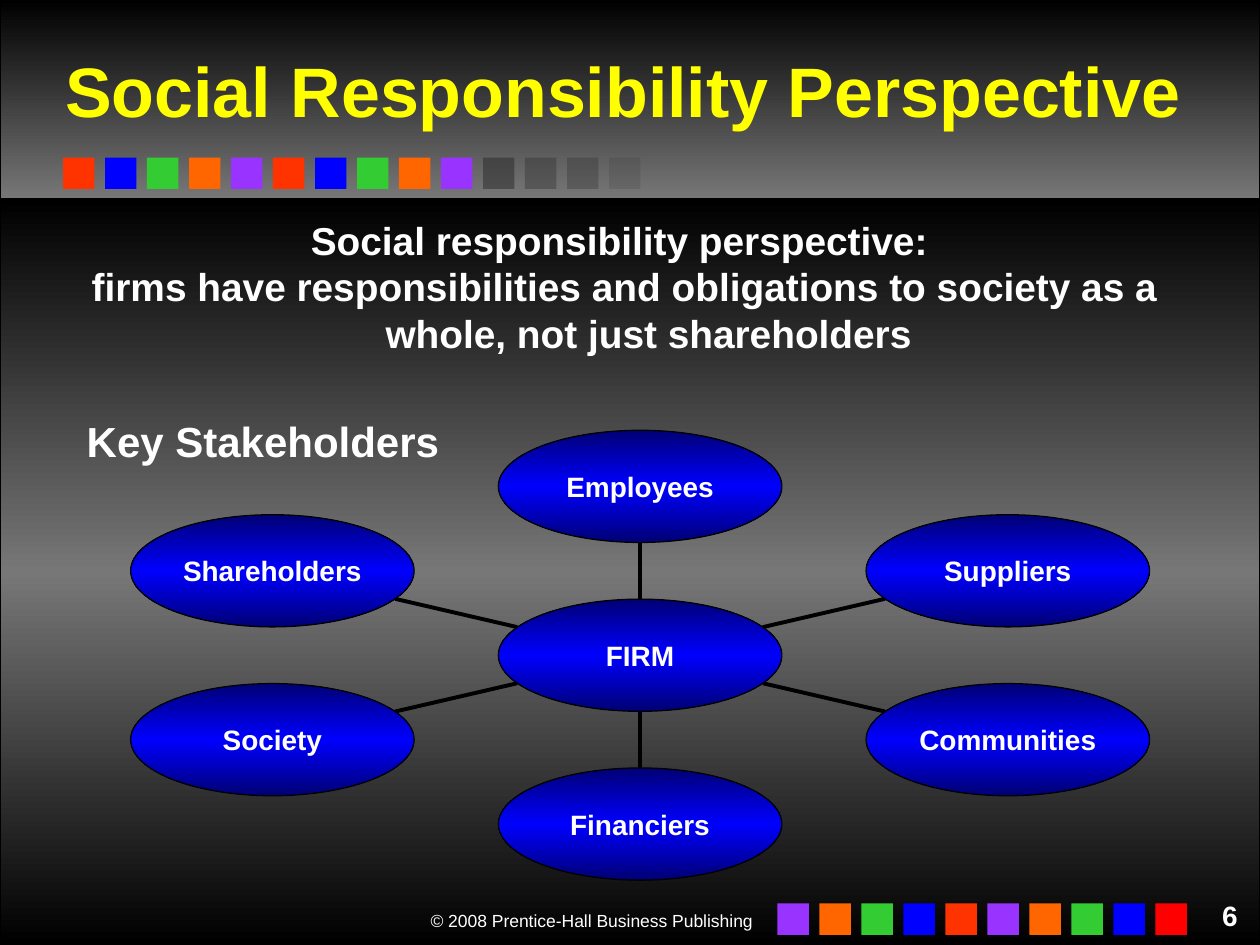
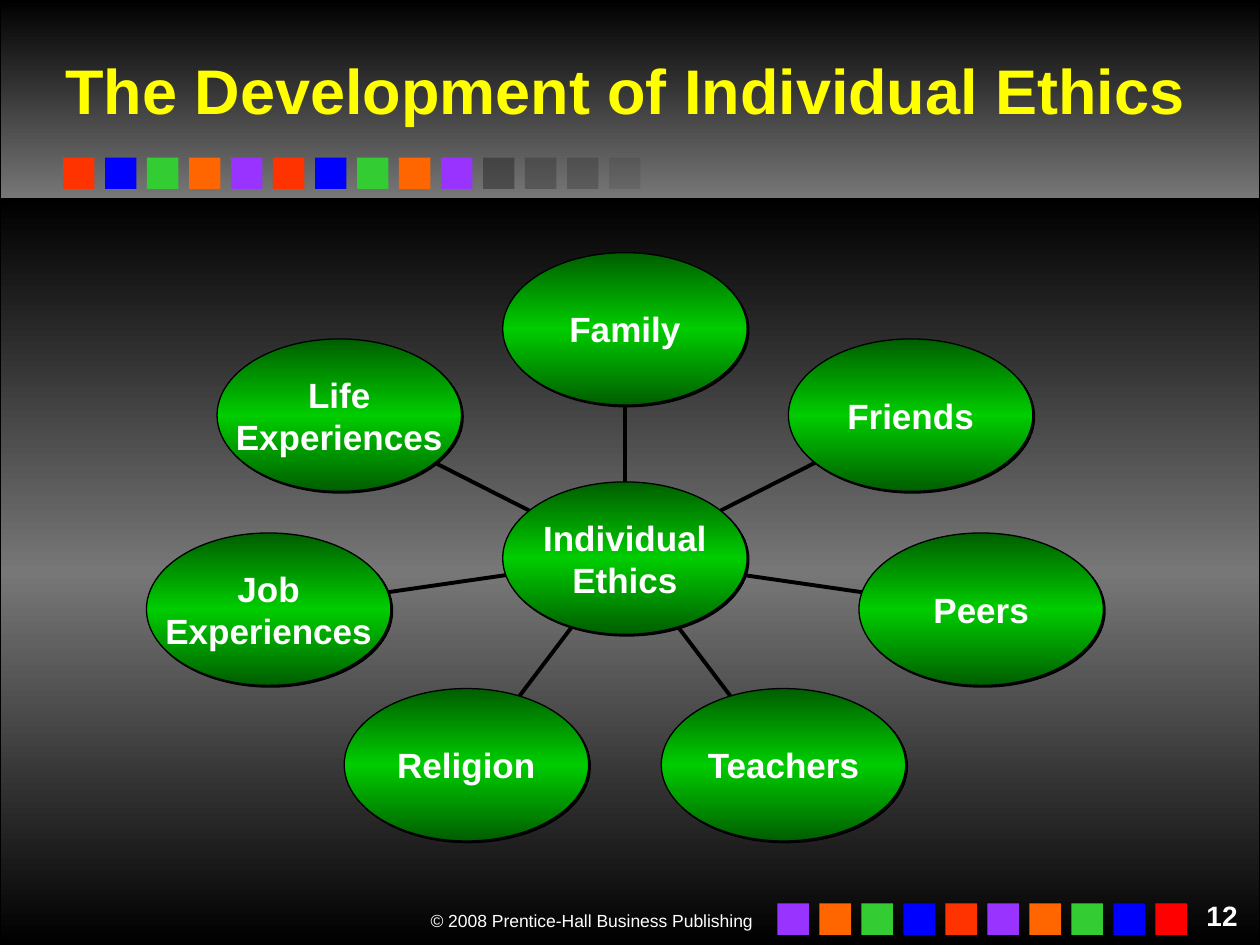
from itertools import cycle, islice
from math import cos, pi, sin

from pptx import Presentation
from pptx.dml.color import RGBColor
from pptx.enum.shapes import MSO_CONNECTOR, MSO_SHAPE
from pptx.enum.text import MSO_ANCHOR, MSO_AUTO_SIZE, PP_ALIGN
from pptx.oxml import parse_xml
from pptx.oxml.ns import nsdecls, qn
from pptx.util import Inches, Pt

FONT = "Arial"
BLACK, GRAY, WHITE, YELLOW = "000000", "777777", "FFFFFF", "FFFF00"
RED, BLUE, GREEN, ORANGE, PURPLE = "FF3300", "0000FF", "33CC33", "FF6600", "9933FF"
SQUARE_COLORS = [RED, BLUE, GREEN, ORANGE, PURPLE]
SQUARE, SQUARE_STEP = 0.25, 1 / 3
FADING, FADING_ALPHAS = "292929", [50, 35, 30, 15]
COPYRIGHT = "© 2008 Prentice-Hall Business Publishing"


def rgb(hex_color):
    return RGBColor.from_string(hex_color)


def shadow_effect(distance):
    """Hard black shadow falling to the lower right, distance in points."""
    return (f'<a:outerShdw {nsdecls("a")} dist="{Pt(distance)}" dir="2700000" algn="ctr" '
            f'rotWithShape="0"><a:srgbClr val="{BLACK}"/></a:outerShdw>')


def fill_gradient(shape, colors):
    """Fill from top to bottom with evenly spaced colours."""
    last = len(colors) - 1
    stops = "".join(
        f'<a:gs pos="{100000 * i // last}"><a:srgbClr val="{color}"/></a:gs>'
        for i, color in enumerate(colors))
    gradient = parse_xml(f'<a:gradFill {nsdecls("a")} rotWithShape="1"><a:gsLst>{stops}</a:gsLst>'
                         '<a:lin ang="5400000" scaled="0"/></a:gradFill>')
    shape._element.spPr.find(qn("a:prstGeom")).addnext(gradient)


def add_filled(slide, preset, box, colors, outlined=True):
    shape = slide.shapes.add_shape(preset, *map(Inches, box))
    shape.shadow.inherit = False
    if len(colors) > 1:
        fill_gradient(shape, colors)
    else:
        shape.fill.solid()
        shape.fill.fore_color.rgb = rgb(colors[0])
    if outlined:
        shape.line.color.rgb = rgb(BLACK)
        shape.line.width = Pt(0.75)
    else:
        shape.line.fill.background()
    return shape


def write(frame, text, size, color=WHITE, bold=True, align=PP_ALIGN.LEFT, shadowed=False):
    frame.text = text
    for paragraph in frame.paragraphs:
        paragraph.alignment = align
        for run in paragraph.runs:
            run.font.name = FONT
            run.font.size = Pt(size)
            run.font.bold = bold
            run.font.color.rgb = rgb(color)
            if shadowed:
                effects = parse_xml(
                    f'<a:effectLst {nsdecls("a")}>{shadow_effect(2)}</a:effectLst>')
                run.font._element.find(qn("a:solidFill")).addnext(effects)


def add_text(slide, box, text, size, **style):
    frame = slide.shapes.add_textbox(*map(Inches, box)).text_frame
    frame.word_wrap = True
    write(frame, text, size, **style)
    return frame


def add_squares(slide, left, top, colors):
    return [add_filled(slide, MSO_SHAPE.RECTANGLE,
                       (left + i * SQUARE_STEP, top, SQUARE, SQUARE), [color], outlined=False)
            for i, color in enumerate(colors)]


def add_header(slide, box, title, title_size, title_width):
    left, top, _, _ = box
    add_filled(slide, MSO_SHAPE.RECTANGLE, box, [BLACK, GRAY])

    # Coloured squares, then squares that fade out
    colors = SQUARE_COLORS * 2 + [FADING] * len(FADING_ALPHAS)
    squares = add_squares(slide, left + 0.5, top + 1.25, colors)
    for square, alpha in zip(squares[-len(FADING_ALPHAS):], FADING_ALPHAS):
        color = square._element.spPr.find(qn("a:solidFill")).find(qn("a:srgbClr"))
        color.append(parse_xml(f'<a:alpha {nsdecls("a")} val="{alpha * 1000}"/>'))

    heading = add_text(slide, (left + 0.42, top + 0.25, title_width, 0.92), title, title_size,
                       color=YELLOW, shadowed=True)
    heading.vertical_anchor = MSO_ANCHOR.MIDDLE


def add_footer(slide, box, number):
    left, top, _, _ = box
    add_text(slide, (left + 2.92, top + 0.09, 3.15, 0.27), COPYRIGHT, 10,
             bold=False, align=PP_ALIGN.RIGHT)
    colors = list(islice(cycle(reversed(SQUARE_COLORS)), 9)) + ["FF0000"]
    add_squares(slide, left + 6.17, top + 0.09, colors)
    add_text(slide, (left + 9.42, top, 0.5, 0.17), str(number), 16, align=PP_ALIGN.RIGHT)


def add_base(prs, number, title, title_size, title_width):
    """Slide with the bands, squares, title and footer that all slides share."""
    slide = prs.slides.add_slide(prs.slide_layouts[6])
    add_filled(slide, MSO_SHAPE.RECTANGLE, (0, 1.58, 10, 5.92), [BLACK, GRAY, BLACK])
    add_header(slide, (0, 0, 10, 1.58), title, title_size, title_width)
    add_footer(slide, (0, 7.08, 10, 0.42), number)
    return slide


def add_spoke(slide, start, end):
    spoke = slide.shapes.add_connector(MSO_CONNECTOR.STRAIGHT, *map(Inches, start + end))
    spoke.line.color.rgb = rgb(BLACK)
    spoke.line.width = Pt(2.25)
    spoke._element.spPr.append(parse_xml(f'<a:effectLst {nsdecls("a")}/>'))


def add_node(slide, center, node_size, label, size, colors, shadowed):
    (x, y), (width, height) = center, node_size
    node = add_filled(slide, MSO_SHAPE.OVAL,
                      (x - width / 2, y - height / 2, width, height), colors)
    if shadowed:
        effects = node._element.spPr.find(qn("a:effectLst"))
        effects.append(parse_xml(shadow_effect(1.4)))
    frame = node.text_frame
    frame.margin_left = frame.margin_right = frame.margin_top = frame.margin_bottom = 0
    frame.word_wrap = False
    frame.vertical_anchor = MSO_ANCHOR.MIDDLE
    write(frame, label, size, align=PP_ALIGN.CENTER)


def add_wheel(slide, box, node_size, hub, labels, size, edge_color, core_color, shadowed=False):
    """Hub with nodes spread clockwise from the top; box is center x, y and radii."""
    x, y, radius_x, radius_y = box
    width, height = node_size
    style = (size, [edge_color, core_color, edge_color], shadowed)
    for i, label in enumerate(labels):
        angle = 2 * pi * i / len(labels)
        across, up = sin(angle), cos(angle)
        node_x, node_y = x + radius_x * across, y - radius_y * up
        rim_x, rim_y = width / 2 * across, height / 2 * up
        add_spoke(slide, (x + rim_x, y - rim_y), (node_x - rim_x, node_y + rim_y))
        add_node(slide, (node_x, node_y), node_size, label, *style)
    add_node(slide, (x, y), node_size, hub, *style)


def add_definition(slide, box):
    frame = add_text(
        slide, box,
        "Social responsibility perspective: \n"
        "firms have responsibilities and obligations to society as a whole, "
        "not just shareholders",
        22.2, align=PP_ALIGN.CENTER, shadowed=True)
    for paragraph in frame.paragraphs:
        paragraph.line_spacing = Pt(26.6)
        properties = paragraph._p.get_or_add_pPr()
        properties.set("marL", str(Inches(0.38)))
        properties.set("indent", str(Inches(-0.38)))


def build_responsibility(prs):
    slide = add_base(prs, 6, "Social Responsibility Perspective", 40, 9.08)
    add_definition(slide, (0.42, 1.67, 9.08, 1.25))
    add_wheel(slide, (5.08, 5.2, 3.37, 1.34), (2.25, 0.89), "FIRM",
              ["Employees", "Suppliers", "Communities", "Financiers", "Society", "Shareholders"],
              16, "000075", BLUE)
    stakeholders = add_text(slide, (0.59, 3.25, 3, 0.5), "Key Stakeholders", 24)
    stakeholders.word_wrap = False
    stakeholders.auto_size = MSO_AUTO_SIZE.SHAPE_TO_FIT_TEXT


def build_ethics(prs):
    slide = add_base(prs, 12, "The Development of Individual Ethics", 36, 9.58)
    add_wheel(slide, (4.96, 4.43, 2.9, 1.82), (1.94, 1.21), "Individual\nEthics",
              ["Family", "Friends", "Peers", "Teachers", "Religion",
               "Job\nExperiences", "Life\nExperiences"],
              20, "005E00", "00CC00", shadowed=True)


def main():
    prs = Presentation()
    prs.slide_width, prs.slide_height = Inches(10), Inches(7.5)
    build_responsibility(prs)
    build_ethics(prs)
    prs.save("out.pptx")


if __name__ == "__main__":
    main()
